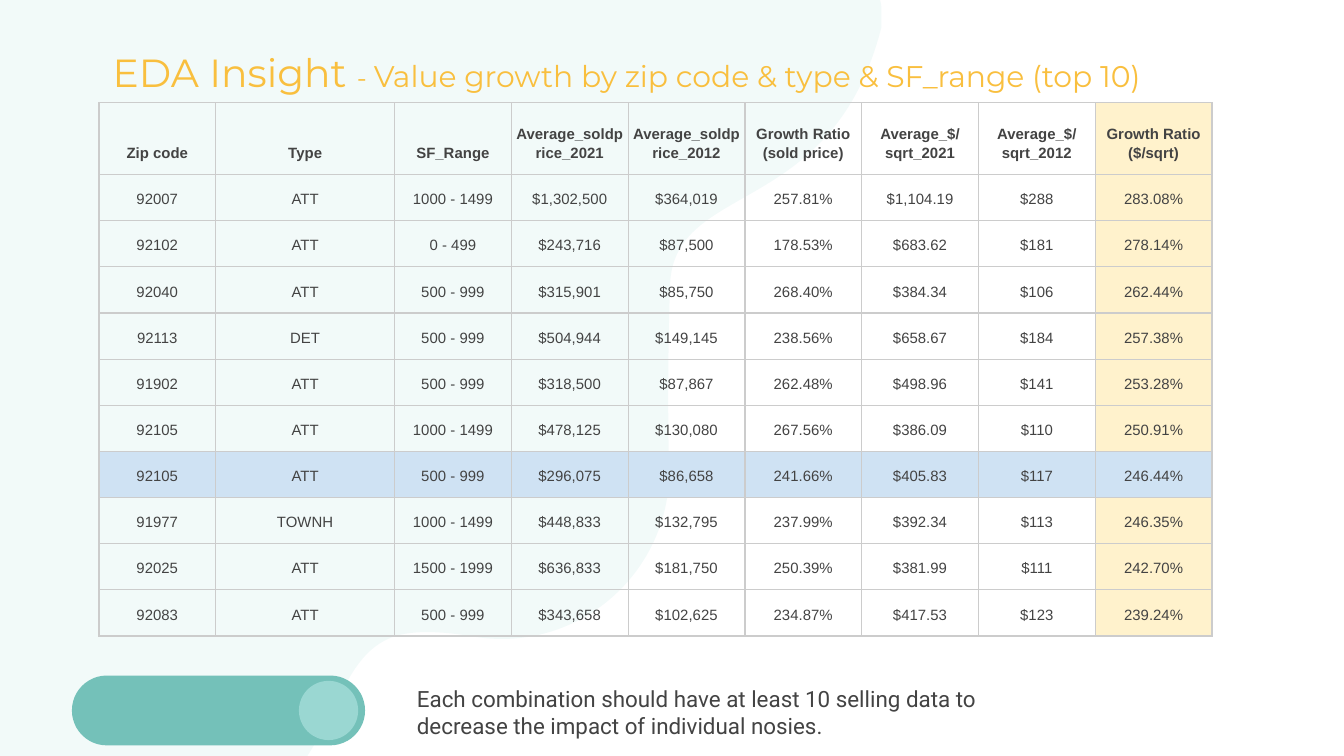
from lxml import etree
from pptx import Presentation
from pptx.dml.color import RGBColor
from pptx.enum.shapes import MSO_SHAPE
from pptx.enum.text import MSO_ANCHOR, PP_ALIGN
from pptx.oxml.ns import qn
from pptx.util import Cm, Pt

PILL, CIRCLE = MSO_SHAPE.ROUNDED_RECTANGLE, MSO_SHAPE.OVAL
TOP, BOTTOM = MSO_ANCHOR.TOP, MSO_ANCHOR.BOTTOM
CENTER = PP_ALIGN.CENTER

AMBER, GRAY, BORDER = "F9BF3E", "434343", "CCCCCC"
TEAL, MINT = "74C1B9", "9AD7D2"
CREAM, BLUE = "FFF2CC", "CFE2F3"

HEADERS = ["Zip code", "Type", "SF_Range", "Average_soldprice_2021",
           "Average_soldprice_2012", "Growth Ratio (sold price)",
           "Average_$/sqrt_2021", "Average_$/sqrt_2012", "Growth Ratio ($/sqrt)"]
HOMES = """92007|ATT|1000 - 1499|$1,302,500|$364,019|257.81%|$1,104.19|$288|283.08%
92102|ATT|0 - 499|$243,716|$87,500|178.53%|$683.62|$181|278.14%
92040|ATT|500 - 999|$315,901|$85,750|268.40%|$384.34|$106|262.44%
92113|DET|500 - 999|$504,944|$149,145|238.56%|$658.67|$184|257.38%
91902|ATT|500 - 999|$318,500|$87,867|262.48%|$498.96|$141|253.28%
92105|ATT|1000 - 1499|$478,125|$130,080|267.56%|$386.09|$110|250.91%
92105|ATT|500 - 999|$296,075|$86,658|241.66%|$405.83|$117|246.44%
91977|TOWNH|1000 - 1499|$448,833|$132,795|237.99%|$392.34|$113|246.35%
92025|ATT|1500 - 1999|$636,833|$181,750|250.39%|$381.99|$111|242.70%
92083|ATT|500 - 999|$343,658|$102,625|234.87%|$417.53|$123|239.24%"""
HIGHLIGHT_ROW = 7

# Each step is an end point (2 values) or a Bezier curve (6 values), in cm
BLOB_START = (-0.56, 15.39)
BLOB_STEPS = [
    (0.38, 15.98, 1.5, 16.31, 2.74, 16.1),
    (6.65, 15.49, 5.89, 12.47, 7.52, 12.01),
    (7.9, 11.91, 8.41, 11.94, 8.99, 12.04),
    (10.92, 12.34, 12.65, 10.85, 12.65, 8.89),
    (12.62, 8.23, 12.62, 6.45, 12.67, 5.28),
    (12.85, 3.43, 15.75, 4.09, 16.66, 0.51),
    (16.66, 0.18),
    (16.66, -0.13, 16.43, -0.36, 16.13, -0.36),
    (-0.08, -0.36),
    (-0.3, -0.36, -0.51, -0.2, -0.56, 0.03),
]


def color(value):
    return RGBColor.from_string(value)


def apply_format(target, values):
    for name, value in values.items():
        setattr(target, name, value)


def paint(shape, fill):
    shape.shadow.inherit = False
    shape.fill.solid()
    shape.fill.fore_color.rgb = color(fill)
    shape.line.fill.background()


def add_run(paragraph, text, ink, **font_format):
    run = paragraph.add_run()
    run.text = text
    apply_format(run.font, font_format)
    run.font.color.rgb = color(ink)


def add_text(slide, box, anchor, pieces, font_name, ink):
    shape = slide.shapes.add_textbox(*map(Cm, box))
    frame = shape.text_frame
    apply_format(frame, {"word_wrap": True, "vertical_anchor": anchor,
                         "margin_left": Cm(0.25), "margin_right": Cm(0.25),
                         "margin_top": Cm(0.25), "margin_bottom": Cm(0.25)})
    for text, size in pieces:
        add_run(frame.paragraphs[0], text, ink, name=font_name, size=Pt(size))


def add_blob(slide, left, top):
    def place(step):
        return [(Cm(left + x), Cm(top + y)) for x, y in zip(step[::2], step[1::2])]

    steps = [place(step) for step in BLOB_STEPS]
    builder = slide.shapes.build_freeform(*place(BLOB_START)[0])
    builder.add_line_segments([step[-1] for step in steps], close=True)
    shape = builder.convert_to_shape()
    paint(shape, MINT)

    # Bend the straight segments that have control points
    segments = list(shape._element.iter(qn("a:lnTo")))
    for segment, points in zip(segments, steps):
        if len(points) == 3:
            curve = etree.Element(qn("a:cubicBezTo"))
            for x, y in points:
                etree.SubElement(curve, qn("a:pt"),
                                 x=str(x - shape.left), y=str(y - shape.top))
            segment.getparent().replace(segment, curve)

    tint = shape.fill._xPr.find(qn("a:solidFill"))[0]
    etree.SubElement(tint, qn("a:alpha"), val="12000")


def add_borders(cell):
    properties = cell._tc.get_or_add_tcPr()
    for side in ("a:lnL", "a:lnR", "a:lnT", "a:lnB"):
        line = etree.SubElement(properties, qn(side), w=str(Pt(0.75)))
        fill = etree.SubElement(line, qn("a:solidFill"))
        etree.SubElement(fill, qn("a:srgbClr"), val=BORDER)


def fill_cell(cell, text, bold, fill):
    apply_format(cell, {"vertical_anchor": BOTTOM,
                        "margin_left": Cm(0.08), "margin_right": Cm(0.08),
                        "margin_top": Cm(0.24), "margin_bottom": Cm(0.24)})
    add_borders(cell)
    if fill:
        cell.fill.solid()
        cell.fill.fore_color.rgb = color(fill)
    else:
        cell.fill.background()
    paragraph = cell.text_frame.paragraphs[0]
    apply_format(paragraph, {"alignment": CENTER, "line_spacing": 1.15})
    add_run(paragraph, text, GRAY, name="Arial", size=Pt(8), bold=bold)


def add_growth_table(slide, box):
    rows = [HEADERS] + [line.split("|") for line in HOMES.splitlines()]
    last = len(HEADERS) - 1
    table = slide.shapes.add_table(len(rows), len(HEADERS), *map(Cm, box)).table
    apply_format(table, {"first_row": False, "horz_banding": False})

    # The type column and the header row are larger; the rest share the space
    type_width, header_height = 3.38, 1.36
    for index, column in enumerate(table.columns):
        column.width = Cm(type_width if index == 1 else (box[2] - type_width) / last)
    for index, row in enumerate(table.rows):
        row.height = Cm(header_height if index == 0
                        else (box[3] - header_height) / (len(rows) - 1))

    for row_index, row in enumerate(rows):
        for column_index, text in enumerate(row):
            fill = CREAM if column_index == last else None
            if row_index == HIGHLIGHT_ROW:
                fill = BLUE
            fill_cell(table.cell(row_index, column_index), text, row_index == 0, fill)


def add_toggle(slide, box):
    left, top, width, height = box
    knob = 1.12
    gap = (height - knob) / 2
    pill = slide.shapes.add_shape(PILL, *map(Cm, box))
    pill.adjustments[0] = 0.5
    paint(pill, TEAL)
    knob_box = (left + width - knob - 0.13, top + gap, knob, knob)
    paint(slide.shapes.add_shape(CIRCLE, *map(Cm, knob_box)), MINT)


def main():
    presentation = Presentation()
    apply_format(presentation, {"slide_width": Cm(25.4), "slide_height": Cm(14.29)})
    slide = presentation.slides.add_slide(presentation.slide_layouts[6])

    # Background
    add_blob(slide, 0, 0)
    # Title
    add_text(slide, (1.88, 0.7, 20.47, 1.35), BOTTOM,
             [("EDA Insight ", 21), ("- ", 14),
              ("Value growth by zip code & type & SF_range (top 10)", 16)],
             "Montserrat", AMBER)
    # Table
    add_growth_table(slide, (1.87, 1.94, 21.04, 10.08))
    # Footnote with toggle
    add_text(slide, (7.63, 12.71, 12.9, 1.55), TOP,
             [("Each combination should have at least 10 selling data to "
               "decrease the impact of individual nosies.", 12)], "Roboto", GRAY)
    add_toggle(slide, (1.36, 12.77, 5.54, 1.32))

    presentation.save("out.pptx")


if __name__ == "__main__":
    main()
